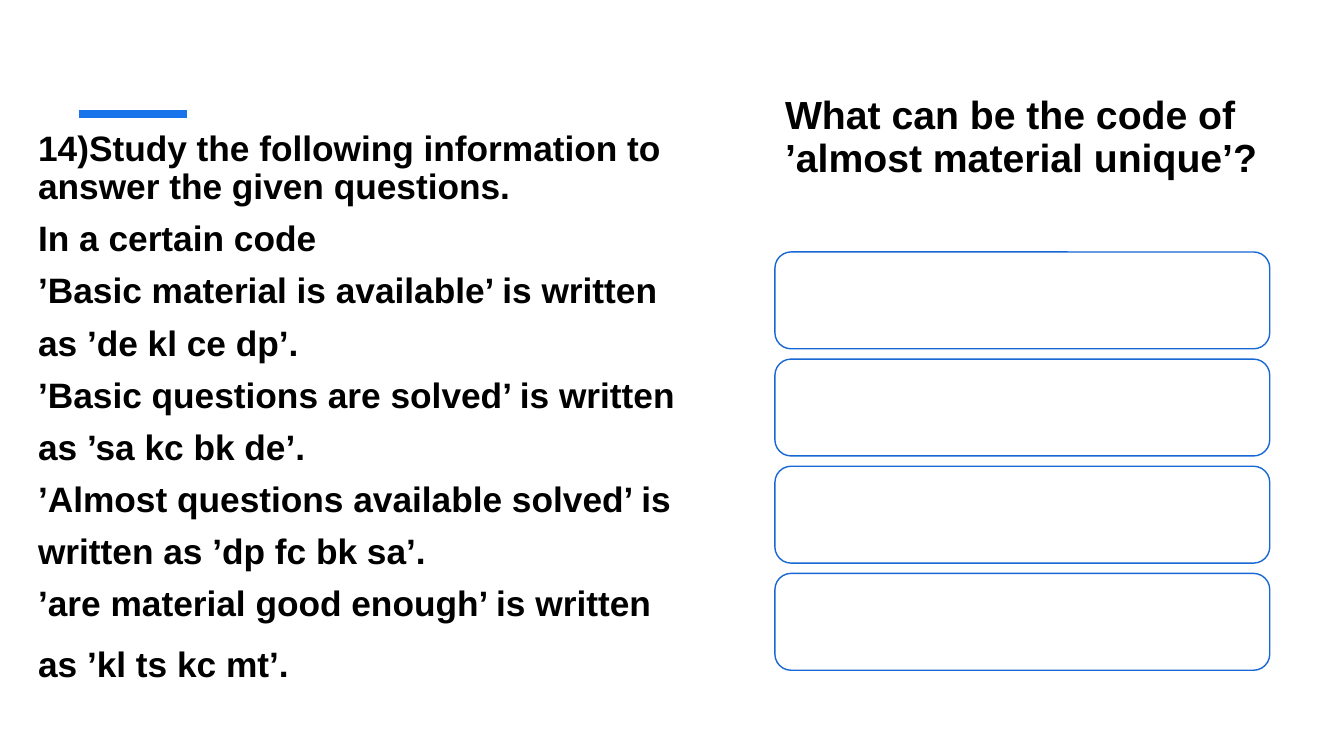
import pptx
import pptx.dml.color
import pptx.enum.shapes
import pptx.enum.text
import pptx.oxml
import pptx.util
from pptx.util import Cm


def color(hex_string):
    return pptx.dml.color.RGBColor.from_string(hex_string)


def write_paragraphs(shape, lines, size):
    text_frame = shape.text_frame
    text_frame.text = "\n".join(lines)
    text_frame.word_wrap = True
    text_frame.auto_size = pptx.enum.text.MSO_AUTO_SIZE.NONE
    text_frame.vertical_anchor = pptx.enum.text.MSO_ANCHOR.TOP
    for paragraph in text_frame.paragraphs:
        paragraph.alignment = pptx.enum.text.PP_ALIGN.LEFT
        paragraph.line_spacing = 0.9
        paragraph.space_before = pptx.util.Pt(10)
        font = paragraph.runs[0].font
        font.name = "Arial"
        font.size = pptx.util.Pt(size)
        font.bold = True
        font.color.rgb = color("000000")


presentation = pptx.Presentation()
presentation.slide_width = Cm(33.87)
presentation.slide_height = Cm(19.05)
slide = presentation.slides.add_slide(presentation.slide_layouts[5])

# Question as the slide title
question = slide.shapes.title
question.left, question.top = Cm(19.53), Cm(2.29)
question.width, question.height = Cm(13.64), Cm(2.41)
write_paragraphs(question, ["What can be the code of ’almost material unique’?"], 28)

# Accent line
accent = slide.shapes.add_connector(
    pptx.enum.shapes.MSO_CONNECTOR.STRAIGHT, Cm(1.98), Cm(2.87), Cm(4.7), Cm(2.87))
accent.line.color.rgb = color("1973EB")
accent.line.width = pptx.util.Pt(6)
accent._element.spPr.append(pptx.oxml.parse_xml(
    '<a:effectLst xmlns:a="http://schemas.openxmlformats.org/drawingml/2006/main"/>'))

# Given information
information = slide.shapes.add_textbox(Cm(0.71), Cm(3.18), Cm(17.5), Cm(14.96))
write_paragraphs(information, [
    "14)Study the following information to answer the given questions.",
    "In a certain code",
    "’Basic material is available’ is written",
    "as ’de kl ce dp’.",
    "’Basic questions are solved’ is written",
    "as ’sa kc bk de’.",
    "’Almost questions available solved’ is",
    "written as ’dp fc bk sa’.",
    "’are material good enough’ is written",
    "as ’kl ts kc mt’.",
], 25.2)
information.text_frame.paragraphs[-1].line_spacing = 1.1

# Empty answer boxes
for row in range(4):
    answer = slide.shapes.add_shape(
        pptx.enum.shapes.MSO_SHAPE.ROUNDED_RECTANGLE,
        Cm(19.53), Cm(6.35 + 2.7 * row), Cm(12.47), Cm(2.44))
    answer.shadow.inherit = False
    answer.fill.solid()
    answer.fill.fore_color.rgb = color("FFFFFF")
    answer.line.color.rgb = color("1768D5")
    answer.line.width = pptx.util.Pt(1)

presentation.save("out.pptx")
